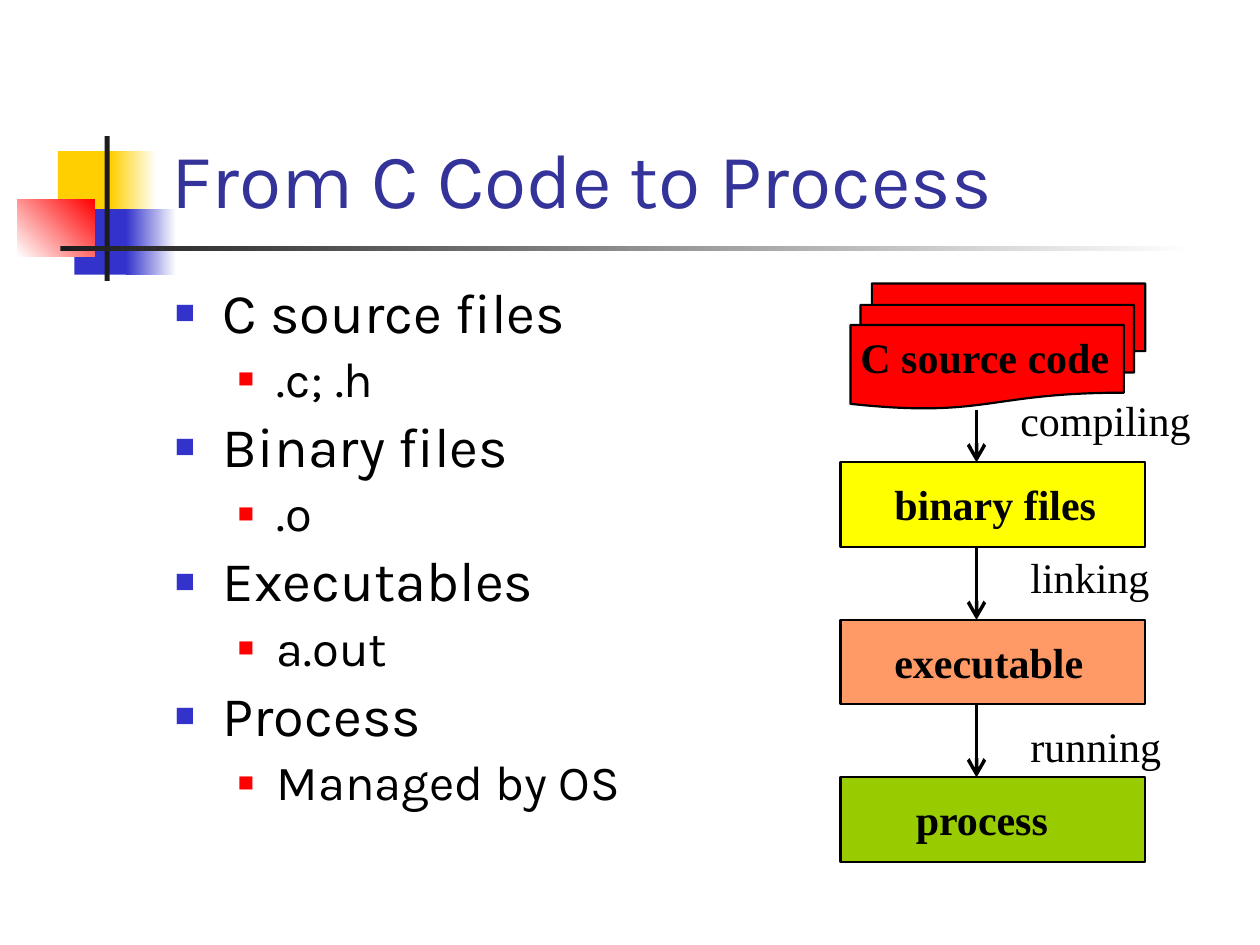
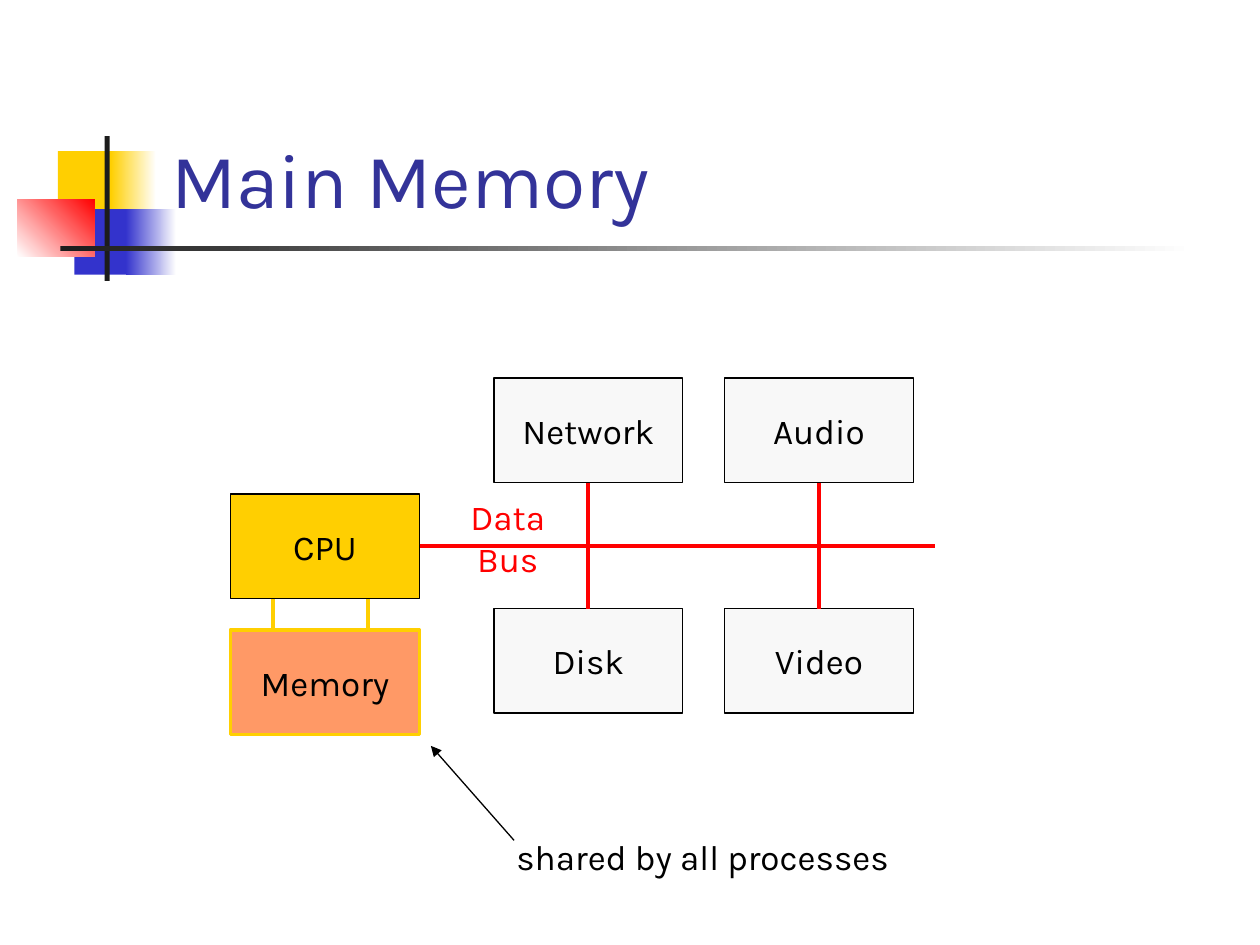
from lxml import etree
from pptx import Presentation
from pptx.dml.color import RGBColor
from pptx.enum.shapes import MSO_CONNECTOR, MSO_SHAPE
from pptx.enum.text import MSO_ANCHOR, MSO_AUTO_SIZE, PP_ALIGN
from pptx.oxml.ns import qn
from pptx.util import Inches, Pt

RECTANGLE = MSO_SHAPE.RECTANGLE
DOCUMENT = MSO_SHAPE.FLOWCHART_DOCUMENT
STRAIGHT = MSO_CONNECTOR.STRAIGHT
TOP, MIDDLE, BOTTOM = MSO_ANCHOR.TOP, MSO_ANCHOR.MIDDLE, MSO_ANCHOR.BOTTOM
LEFT, CENTER = PP_ALIGN.LEFT, PP_ALIGN.CENTER
NO_AUTOFIT, GROW = MSO_AUTO_SIZE.NONE, MSO_AUTO_SIZE.SHAPE_TO_FIT_TEXT
TITLE_ONLY = 5


class Theme:
    black = RGBColor.from_string("000000")
    white = RGBColor.from_string("FFFFFF")
    ink = RGBColor.from_string("1C1C1C")
    title = RGBColor.from_string("333399")
    blue = RGBColor.from_string("3333CC")
    red = RGBColor.from_string("FF0000")
    gold = RGBColor.from_string("FFCF01")
    yellow = RGBColor.from_string("FFFF00")
    orange = RGBColor.from_string("FF9966")
    green = RGBColor.from_string("99CC00")
    pale = RGBColor.from_string("F8F8F8")
    font = "Karla"
    diagram_font = "Times New Roman"
    title_size = 44
    body_sizes = (32, 28)
    diagram_size = 24
    small_size = 20


def add_block(slide, box, fill, line=None, line_width=0.75, preset=RECTANGLE, angle=0):
    """Add a preset shape; a pair of colours as fill makes a gradient."""
    shape = slide.shapes.add_shape(preset, *map(Inches, box))
    shape.shadow.inherit = False
    if isinstance(fill, list):
        shape.fill.gradient()
        shape.fill.gradient_angle = angle
        for stop, color in zip(shape.fill.gradient_stops, fill):
            stop.color.rgb = color
    else:
        shape.fill.solid()
        shape.fill.fore_color.rgb = fill
    if line is None:
        shape.line.fill.background()
    else:
        shape.line.color.rgb = line
        shape.line.width = Pt(line_width)
    return shape


def add_line(slide, start, end, color, width, arrowhead=None, head_size="med"):
    connector = slide.shapes.add_connector(STRAIGHT, *map(Inches, start + end))
    connector.line.color.rgb = color
    connector.line.width = Pt(width)
    if arrowhead:
        line_xml = connector.line._get_or_add_ln()
        etree.SubElement(line_xml, qn("a:tailEnd"), type=arrowhead, w=head_size, len=head_size)
    etree.SubElement(connector.element.spPr, qn("a:effectLst"))


presentation = Presentation()
presentation.slide_width = Inches(10)
presentation.slide_height = Inches(7.5)
layout = presentation.slide_layouts[TITLE_ONLY]

# Slides and their titles
slides = []
for title_text in ("From C Code to Process", "Main Memory"):
    slide = presentation.slides.add_slide(layout)
    slides.append(slide)
    title = slide.shapes.title
    title.left, title.top, title.width, title.height = map(Inches, (1.26, 0.23, 8.52, 1.6))
    frame = title.text_frame
    frame.auto_size = NO_AUTOFIT
    frame.vertical_anchor = BOTTOM
    paragraph = frame.paragraphs[0]
    paragraph.alignment = LEFT
    run = paragraph.add_run()
    run.text = title_text
    run.font.name = Theme.font
    run.font.size = Pt(Theme.title_size)
    run.font.color.rgb = Theme.title
code_slide, memory_slide = slides

# Shared decoration, drawn once and moved to the layout
for box, fill, angle in (
    ((0.46, 1.2, 0.48, 0.52), Theme.gold, 0),
    ((0.88, 1.2, 0.36, 0.52), [Theme.gold, Theme.white], 0),
    ((0.59, 1.66, 0.46, 0.52), Theme.blue, 0),
    ((1, 1.66, 0.4, 0.52), [Theme.blue, Theme.white], 0),
    ((0.14, 1.58, 0.61, 0.46), [Theme.white, Theme.red], 45),
    ((0.83, 1.08, 0.04, 1.15), Theme.ink, 0),
    ((0.48, 1.95, 9, 0.04), [Theme.ink, Theme.white], 0),
):
    decoration = add_block(code_slide, box, fill, angle=angle)
    layout.shapes.element.append(decoration.element)

# From C Code to Process: bullet list
bullet_levels = (
    # space before, left margin, hanging indent, bullet colour, bullet percent
    (6.4, 0.38, 0.38, Theme.blue, 60),
    (5.6, 0.81, 0.31, Theme.red, 55),
)
file_kinds = (
    ("C source files", ".c; .h"),
    ("Binary files", ".o"),
    ("Executables", "a.out"),
    ("Process", "Managed by OS"),
)
body = code_slide.shapes.add_textbox(*map(Inches, (1.29, 2.21, 5.3, 4.5)))
frame = body.text_frame
frame.word_wrap = True
for index, pair in enumerate(file_kinds):
    for level, text in enumerate(pair):
        space, margin, hanging, color, percent = bullet_levels[level]
        first = index == 0 and level == 0
        paragraph = frame.paragraphs[0] if first else frame.add_paragraph()
        paragraph.level = level
        paragraph.line_spacing = 0.9
        paragraph.space_before = Pt(0 if first else space)
        properties = paragraph._p.get_or_add_pPr()
        properties.set("marL", str(Inches(margin)))
        properties.set("indent", str(-Inches(hanging)))
        bullet_color = etree.SubElement(properties, qn("a:buClr"))
        etree.SubElement(bullet_color, qn("a:srgbClr"), val=str(color))
        etree.SubElement(properties, qn("a:buSzPct"), val=str(percent * 1000))
        etree.SubElement(properties, qn("a:buFont"), typeface="Arial")
        etree.SubElement(properties, qn("a:buChar"), char="■")
        run = paragraph.add_run()
        run.text = text
        run.font.name = Theme.font
        run.font.size = Pt(Theme.body_sizes[level])
        run.font.color.rgb = Theme.black

# From C Code to Process: build chain
for left, top in ((6.92, 2.25), (6.83, 2.42), (6.75, 2.58)):
    add_block(code_slide, (left, top, 2.17, 0.67), Theme.red, Theme.black, 1.25, DOCUMENT)
arrow_start = 3.25
for step, fill in enumerate((Theme.yellow, Theme.orange, Theme.green)):
    top = 3.67 + 1.25 * step
    add_block(code_slide, (6.67, top, 2.42, 0.67), fill, Theme.black, 1.25)
    add_line(code_slide, (7.75, arrow_start), (7.75, top), Theme.black, 2, "arrow", "lg")
    arrow_start = top + 0.67

for text, left, top, width, bold in (
    ("C source code", 6.73, 2.58, 2.18, True),
    ("binary files", 7, 3.75, 1.8, True),
    ("executable", 7, 5, 1.7, True),
    ("process", 7.17, 6.25, 1.26, True),
    ("compiling", 8, 3.08, 1.6, False),
    ("linking", 8.08, 4.33, 1.25, False),
    ("running", 8.08, 5.67, 1.3, False),
):
    label = code_slide.shapes.add_textbox(*map(Inches, (left, top, width, 0.5)))
    label.text_frame.word_wrap = False
    label.text_frame.auto_size = GROW
    run = label.text_frame.paragraphs[0].add_run()
    run.text = text
    run.font.name = Theme.diagram_font
    run.font.size = Pt(Theme.diagram_size)
    run.font.bold = bold
    run.font.color.rgb = Theme.black

# Main Memory: devices, bus and notes
captions = []
for text, left, top, fill, line, line_width in (
    ("CPU", 1.83, 3.92, Theme.gold, Theme.black, 0.75),
    ("Memory", 1.83, 5, Theme.orange, Theme.gold, 2.25),
    ("Network", 3.92, 3, Theme.pale, Theme.black, 0.75),
    ("Disk", 3.92, 4.83, Theme.pale, Theme.black, 0.75),
    ("Audio", 5.75, 3, Theme.pale, Theme.black, 0.75),
    ("Video", 5.75, 4.83, Theme.pale, Theme.black, 0.75),
):
    device = add_block(memory_slide, (left, top, 1.5, 0.83), fill, line, line_width)
    captions.append((device, text, Theme.black, CENTER, MIDDLE, False))

for x in (2.17, 2.92):
    add_line(memory_slide, (x, 5), (x, 4.75), Theme.gold, 2.25)
add_line(memory_slide, (3.33, 4.33), (7.42, 4.33), Theme.red, 2.25)
for x in (4.67, 6.5):
    add_line(memory_slide, (x, 3.83), (x, 4.83), Theme.red, 2.25)
add_line(memory_slide, (4.08, 6.67), (3.42, 5.92), Theme.black, 0.75, "triangle")

for text, box, color, alignment in (
    ("Data Bus", (3.43, 3.88, 1.2, 0.43), Theme.red, CENTER),
    ("shared by all processes", (4, 6.58, 4, 0.43), Theme.black, LEFT),
):
    note = memory_slide.shapes.add_textbox(*map(Inches, box))
    captions.append((note, text, color, alignment, TOP, True))

for shape, text, color, alignment, anchor, wrap in captions:
    frame = shape.text_frame
    frame.word_wrap = wrap
    frame.vertical_anchor = anchor
    paragraph = frame.paragraphs[0]
    paragraph.alignment = alignment
    run = paragraph.add_run()
    run.text = text
    run.font.name = Theme.font
    run.font.size = Pt(Theme.small_size)
    run.font.color.rgb = color

presentation.save("out.pptx")
